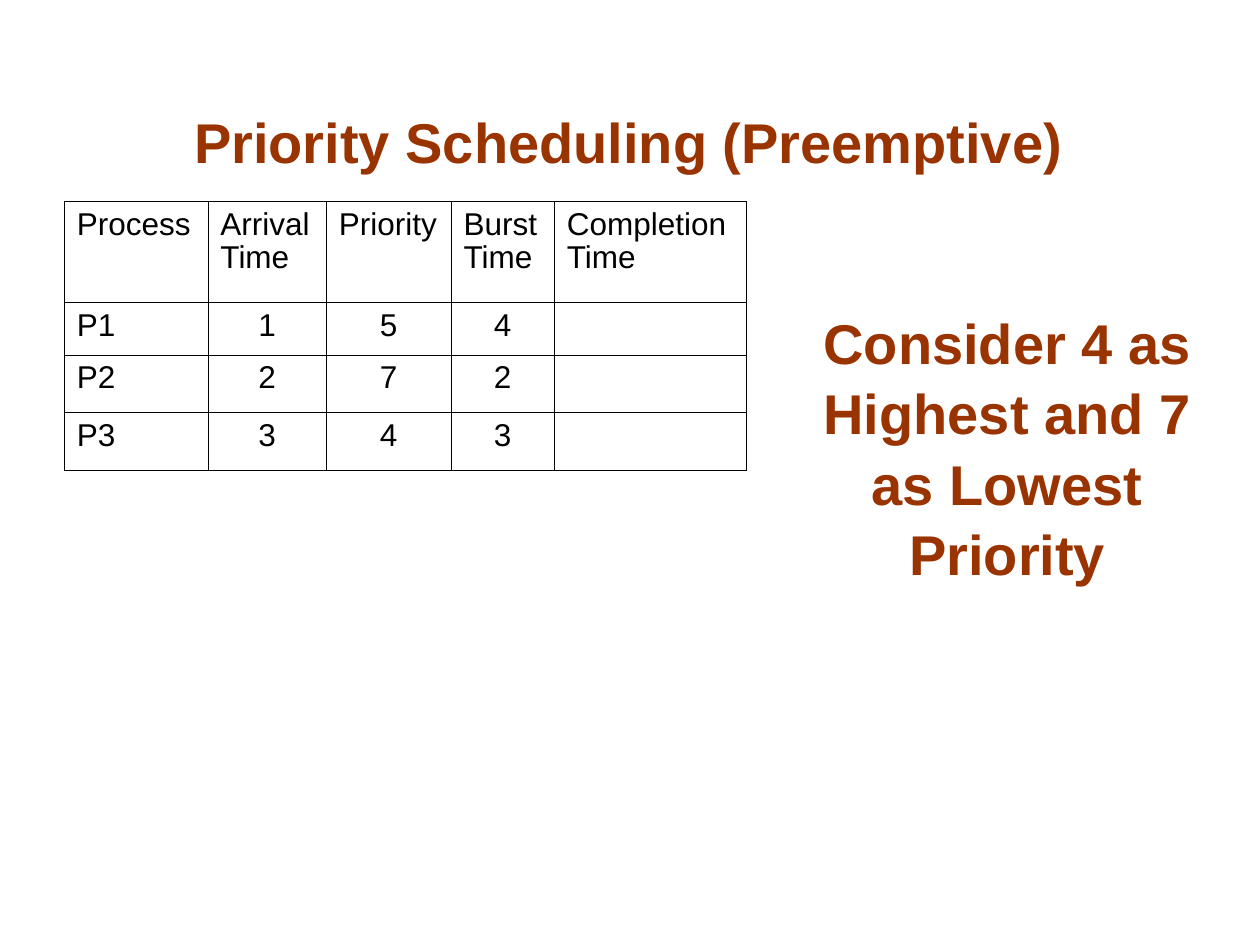
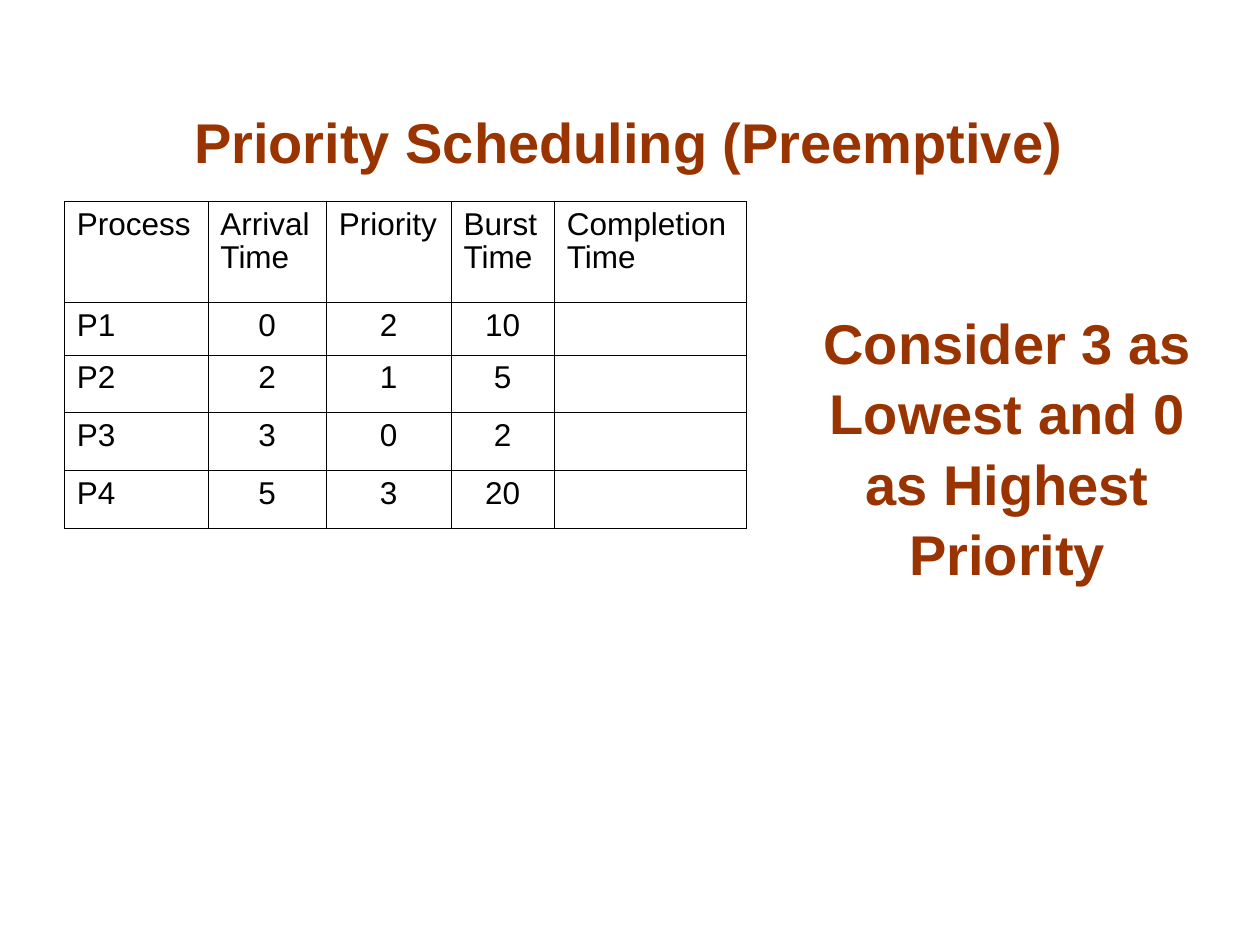
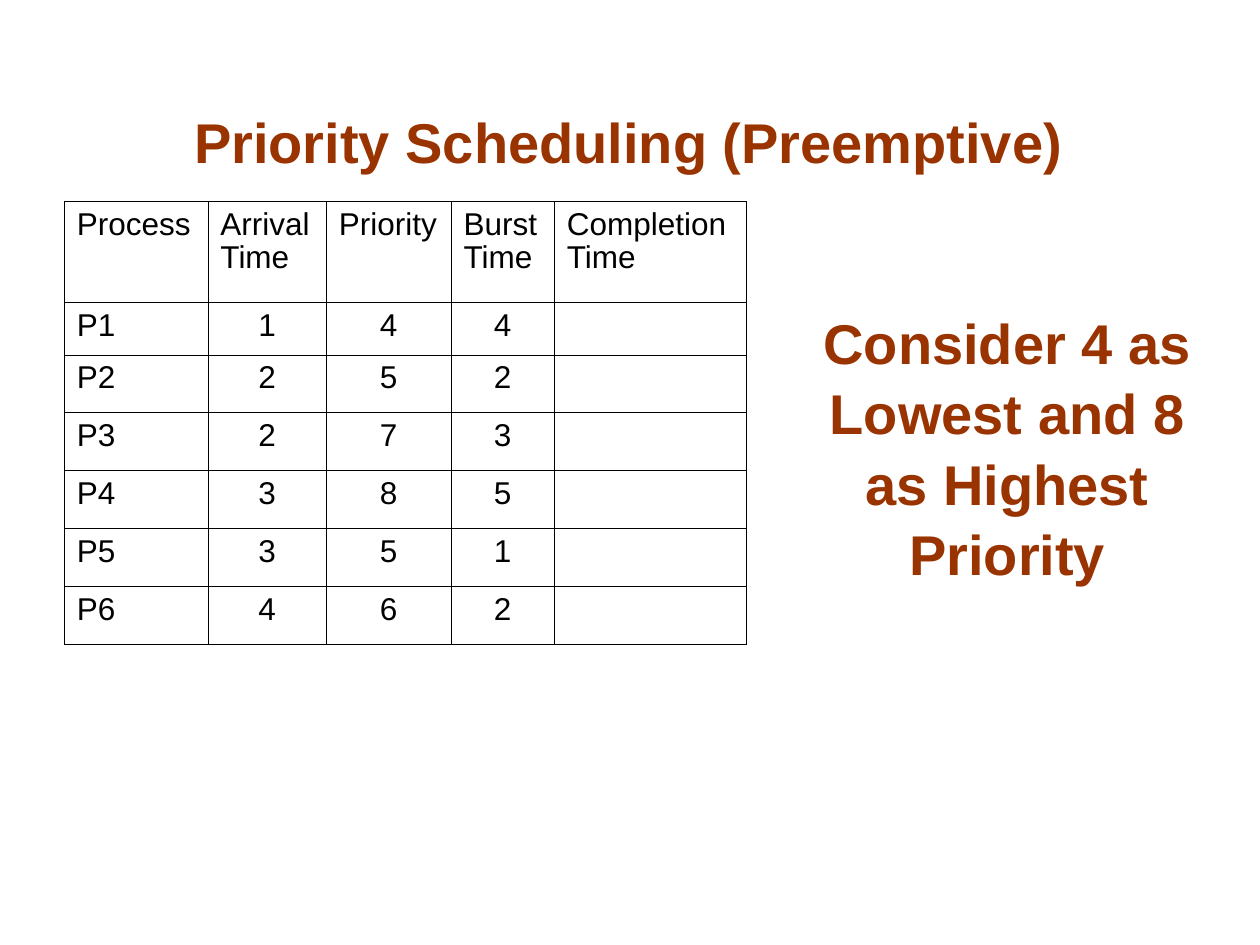
from lxml.etree import SubElement
from pptx import Presentation
from pptx.dml.color import RGBColor
from pptx.enum.text import MSO_ANCHOR, MSO_AUTO_SIZE, PP_ALIGN
from pptx.oxml.ns import qn
from pptx.util import Inches, Pt

FONT = "Arial"
RUST, BLACK = "993300", "000000"
TITLE = "Priority Scheduling (Preemptive)"
HEADING_FONT = {"name": FONT, "size": Pt(32), "bold": True}
CELL_FONT = {"name": FONT, "size": Pt(18), "bold": False}
CELL_FORMAT = {
    "margin_left": Inches(0.1), "margin_right": Inches(0.1),
    "margin_top": Inches(0.06), "margin_bottom": Inches(0.05),
    "vertical_anchor": MSO_ANCHOR.TOP,
}
FRAME_FORMAT = {
    "word_wrap": True, "auto_size": MSO_AUTO_SIZE.NONE,
    "vertical_anchor": MSO_ANCHOR.BOTTOM,
    "margin_left": Inches(0.1), "margin_right": Inches(0.1),
    "margin_top": Inches(0.05), "margin_bottom": Inches(0.05),
}

HEADERS = ["Process", "Arrival Time", "Priority", "Burst Time", "Completion Time"]
COLUMN_WIDTHS = [1.14, 0.94, 0.99, 0.82, 1.52]
HEADER_HEIGHT, FIRST_HEIGHT, ROW_HEIGHT = 0.8, 0.4, 0.46

# Each exercise: note, then (arrival, priority, burst) per process
EXERCISES = [
    ("Consider 4 as Highest and 7 as Lowest Priority",
     [(1, 5, 4), (2, 7, 2), (3, 4, 3)]),
    ("Consider 3 as Lowest and 0 as Highest Priority",
     [(0, 2, 10), (2, 1, 5), (3, 0, 2), (5, 3, 20)]),
    ("Consider 4 as Lowest and 8 as Highest Priority",
     [(1, 4, 4), (2, 5, 2), (2, 7, 3), (3, 8, 5), (3, 5, 1), (4, 6, 2)]),
]


def rgb(color):
    return RGBColor.from_string(color)


def apply(target, values):
    for name, value in values.items():
        setattr(target, name, value)


def write(p, text, font, color, align, spacing):
    p.alignment, p.line_spacing = align, spacing
    r = p.add_run()
    r.text = text
    apply(r.font, font)
    r.font.color.rgb = rgb(color)


def format_heading(sp, text, left, top, width, height):
    apply(sp, {"left": Inches(left), "top": Inches(top),
               "width": Inches(width), "height": Inches(height)})
    tf = sp.text_frame
    apply(tf, FRAME_FORMAT)
    write(tf.paragraphs[0], text, HEADING_FONT, RUST, PP_ALIGN.CENTER, 1.05)


def set_borders(cell, color, width):
    tc_pr = cell._tc.get_or_add_tcPr()
    for i, side in enumerate(("a:lnL", "a:lnR", "a:lnT", "a:lnB")):
        ln = tc_pr.makeelement(qn(side), {"w": str(Pt(width))})
        fill = SubElement(ln, qn("a:solidFill"))
        SubElement(fill, qn("a:srgbClr"), val=color)
        tc_pr.insert(i, ln)


def add_process_table(s, processes):
    rows = [HEADERS] + [[f"P{i}", *map(str, values), ""]
                        for i, values in enumerate(processes, 1)]
    heights = [HEADER_HEIGHT, FIRST_HEIGHT] + [ROW_HEIGHT] * (len(rows) - 2)
    table = s.shapes.add_table(
        len(rows), len(HEADERS), Inches(0.51), Inches(1.6),
        Inches(sum(COLUMN_WIDTHS)), Inches(sum(heights))).table
    table.first_row = table.horz_banding = False
    for column, width in zip(table.columns, COLUMN_WIDTHS):
        column.width = Inches(width)
    for i, row in enumerate(rows):
        table.rows[i].height = Inches(heights[i])
        for j, text in enumerate(row):
            cell = table.cell(i, j)
            apply(cell, CELL_FORMAT)
            cell.fill.background()
            set_borders(cell, BLACK, 0.23)
            if text:
                align = PP_ALIGN.CENTER if i and j else PP_ALIGN.LEFT
                write(cell.text_frame.paragraphs[0], text, CELL_FONT, BLACK, align, 0.94)


def add_exercise(prs, note, processes):
    s = prs.slides.add_slide(prs.slide_layouts[5])
    format_heading(s.shapes.title, TITLE, 0.74, 0.73, 8.5, 0.71)
    add_process_table(s, processes)
    format_heading(s.shapes.add_textbox(0, 0, 0, 0), note, 6.21, 2.18, 3.57, 2.53)


def main():
    prs = Presentation()
    prs.slide_width, prs.slide_height = Inches(10), Inches(7.5)
    for note, processes in EXERCISES:
        add_exercise(prs, note, processes)
    prs.save("out.pptx")


if __name__ == "__main__":
    main()
